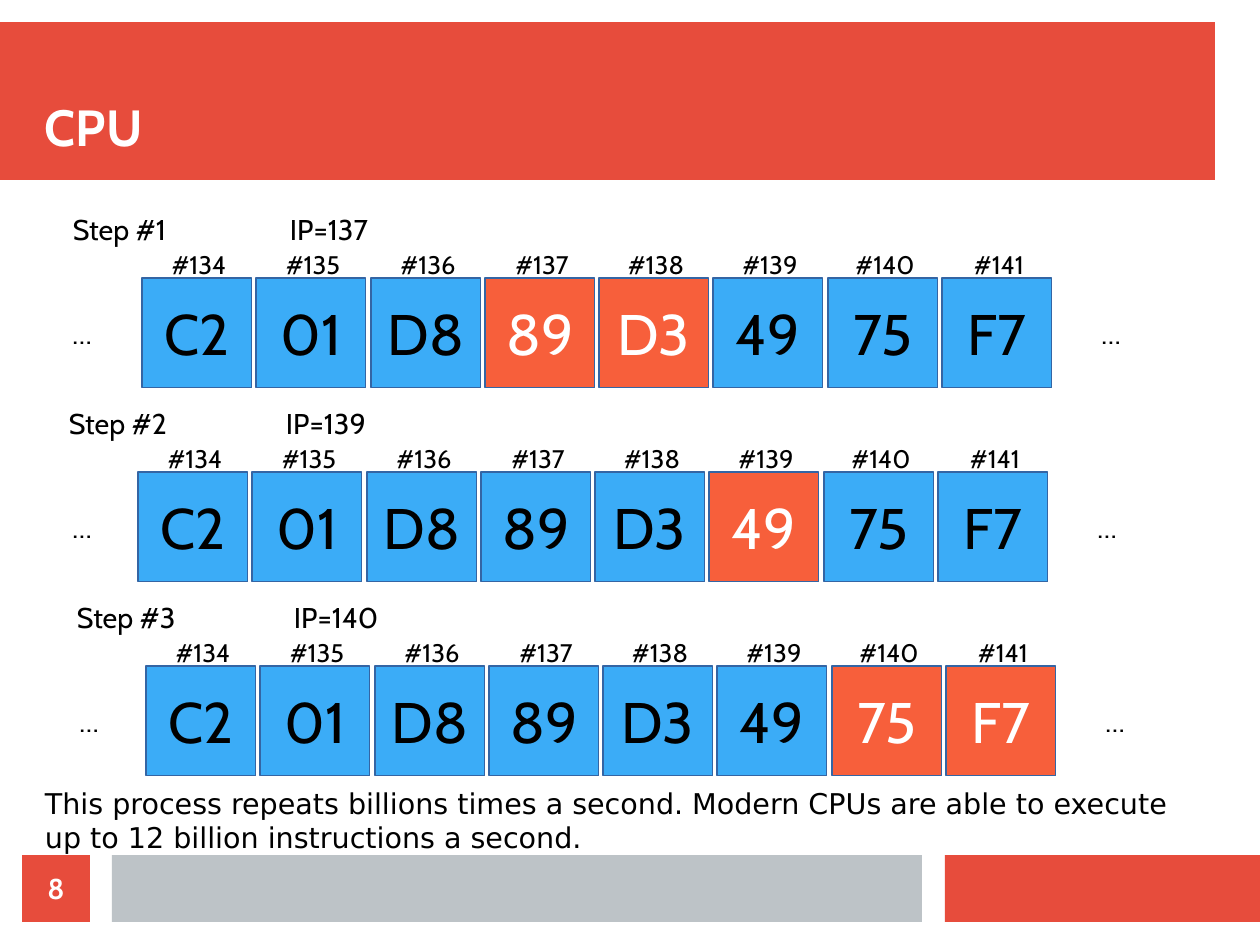
from dataclasses import dataclass
from typing import NamedTuple, Optional

from pptx import Presentation
from pptx.dml.color import RGBColor
from pptx.enum.shapes import MSO_SHAPE as Preset
from pptx.enum.text import MSO_ANCHOR as Anchor, PP_ALIGN as Align
from pptx.util import Emu, Pt

EMU_PER_PIXEL = 8000


@dataclass(frozen=True)
class Theme:
    """Colours, fonts and type sizes of the slide."""
    red: str = "E74C3C"
    grey: str = "BDC3C7"
    byte_fill: str = "3BACF7"
    active_fill: str = "F75F3B"
    byte_line: str = "3465A4"
    black: str = "000000"
    white: str = "FFFFFF"
    font: str = "Cabin"
    caption_font: str = "DejaVu Sans"
    title_size: int = 32
    byte_size: int = 36
    address_size: int = 16
    body_size: int = 18


class Box(NamedTuple):
    """A rectangle in pixels."""
    left: int
    top: int
    width: int
    height: int


class Step(NamedTuple):
    """One row of memory with the bytes being executed."""
    left: int
    ellipsis_left: int
    pointer: int
    active: tuple[int, ...]


THEME = Theme()
MEMORY = {134: "C2", 135: "01", 136: "D8", 137: "89",
          138: "D3", 139: "49", 140: "75", 141: "F7"}
STEPS = (
    Step(142, 27, 137, (137, 138)),
    Step(138, 27, 139, (139,)),
    Step(146, 34, 140, (140, 141)),
)
FIRST_ROW_TOP = 278
ROW_PITCH = 194
BYTE_SIDE = 110
ROW_SPAN = 800  # from the first byte to the last
ADDRESS_WIDTH, ADDRESS_HEIGHT = 114, 27
ELLIPSIS_OFFSET = 914
HEADING_RISE, HEADING_HEIGHT = 72, 50


def px(pixels: int) -> Emu:
    """Turn pixels into EMU."""
    return Emu(pixels * EMU_PER_PIXEL)


def place(box: Box) -> tuple[Emu, ...]:
    """Give the EMU position and size of a box."""
    return tuple(px(length) for length in box)


def write(shape, text: str, *, size: int = THEME.body_size,
          color: str = THEME.black, font: str = THEME.font,
          bold: bool = False, align: Align = Align.LEFT,
          anchor: Anchor = Anchor.TOP, inset: tuple[int, int] = (11, 6)) -> None:
    """Put formatted text into a shape."""
    frame = shape.text_frame
    frame.word_wrap = True
    frame.vertical_anchor = anchor
    frame.margin_left = frame.margin_right = px(inset[0])
    frame.margin_top = frame.margin_bottom = px(inset[1])
    paragraph = frame.paragraphs[0]
    paragraph.alignment = align
    run = paragraph.add_run()
    run.text = text
    run.font.name = font
    run.font.size = Pt(size)
    run.font.bold = bold
    run.font.color.rgb = RGBColor.from_string(color)


def add_label(slide, box: Box, text: str, **text_format) -> None:
    """Add a text box."""
    write(slide.shapes.add_textbox(*place(box)), text, **text_format)


def add_block(slide, box: Box, fill: str, line: Optional[str] = None):
    """Add a flat rectangle, outlined by a hairline if a line colour is given."""
    block = slide.shapes.add_shape(Preset.RECTANGLE, *place(box))
    block.shadow.inherit = False
    block.fill.solid()
    block.fill.fore_color.rgb = RGBColor.from_string(fill)
    if line:
        block.line.color.rgb = RGBColor.from_string(line)
        block.line.width = Pt(0)
    else:
        block.line.fill.background()
    return block


def add_byte(slide, left: int, top: int, address: int, active: bool) -> None:
    """Add one memory byte with its address above."""
    byte = add_block(slide, Box(left, top, BYTE_SIDE, BYTE_SIDE),
                     THEME.active_fill if active else THEME.byte_fill,
                     THEME.byte_line)
    write(byte, MEMORY[address], size=THEME.byte_size,
          color=THEME.white if active else THEME.black,
          align=Align.CENTER, anchor=Anchor.MIDDLE)
    add_label(slide, Box(left, top - ADDRESS_HEIGHT, ADDRESS_WIDTH, ADDRESS_HEIGHT),
              f"#{address}", size=THEME.address_size,
              align=Align.CENTER, anchor=Anchor.MIDDLE)


def add_step(slide, number: int, step: Step) -> None:
    """Add the headings, bytes and ellipses of one step."""
    top = FIRST_ROW_TOP + (number - 1) * ROW_PITCH
    heading_top = top - HEADING_RISE
    add_label(slide, Box(step.left - 80, heading_top, 138, HEADING_HEIGHT),
              f"Step #{number}")
    add_label(slide, Box(step.left + 137, heading_top, 343, HEADING_HEIGHT),
              f"IP={step.pointer}")
    for index, address in enumerate(MEMORY):
        left = step.left + round(index * ROW_SPAN / (len(MEMORY) - 1))
        add_byte(slide, left, top, address, address in step.active)
    for left in (step.ellipsis_left, step.left + ELLIPSIS_OFFSET):
        add_label(slide, Box(left, top, BYTE_SIDE, BYTE_SIDE), "…",
                  align=Align.CENTER, anchor=Anchor.MIDDLE)


def main() -> None:
    """Build and save the slide."""
    deck = Presentation()
    deck.slide_width, deck.slide_height = px(1260), px(945)
    slide = deck.slides.add_slide(deck.slide_layouts[6])

    add_block(slide, Box(0, 22, 1215, 158), THEME.red)
    add_block(slide, Box(945, 855, 315, 67), THEME.red)
    add_block(slide, Box(112, 855, 810, 67), THEME.grey)
    add_label(slide, Box(45, 45, 1170, 112), "CPU", size=THEME.title_size,
              color=THEME.white, bold=True, anchor=Anchor.BOTTOM, inset=(0, 0))

    for number, step in enumerate(STEPS, start=1):
        add_step(slide, number, step)

    add_label(slide, Box(34, 780, 1177, 78),
              "This process repeats billions times a second. Modern CPUs are "
              "able to execute up to 12 billion instructions a second.",
              font=THEME.caption_font)
    page_number = add_block(slide, Box(22, 855, 68, 67), THEME.red)
    write(page_number, "8", color=THEME.white, bold=True,
          align=Align.CENTER, anchor=Anchor.MIDDLE, inset=(0, 0))

    deck.save("out.pptx")


main()
